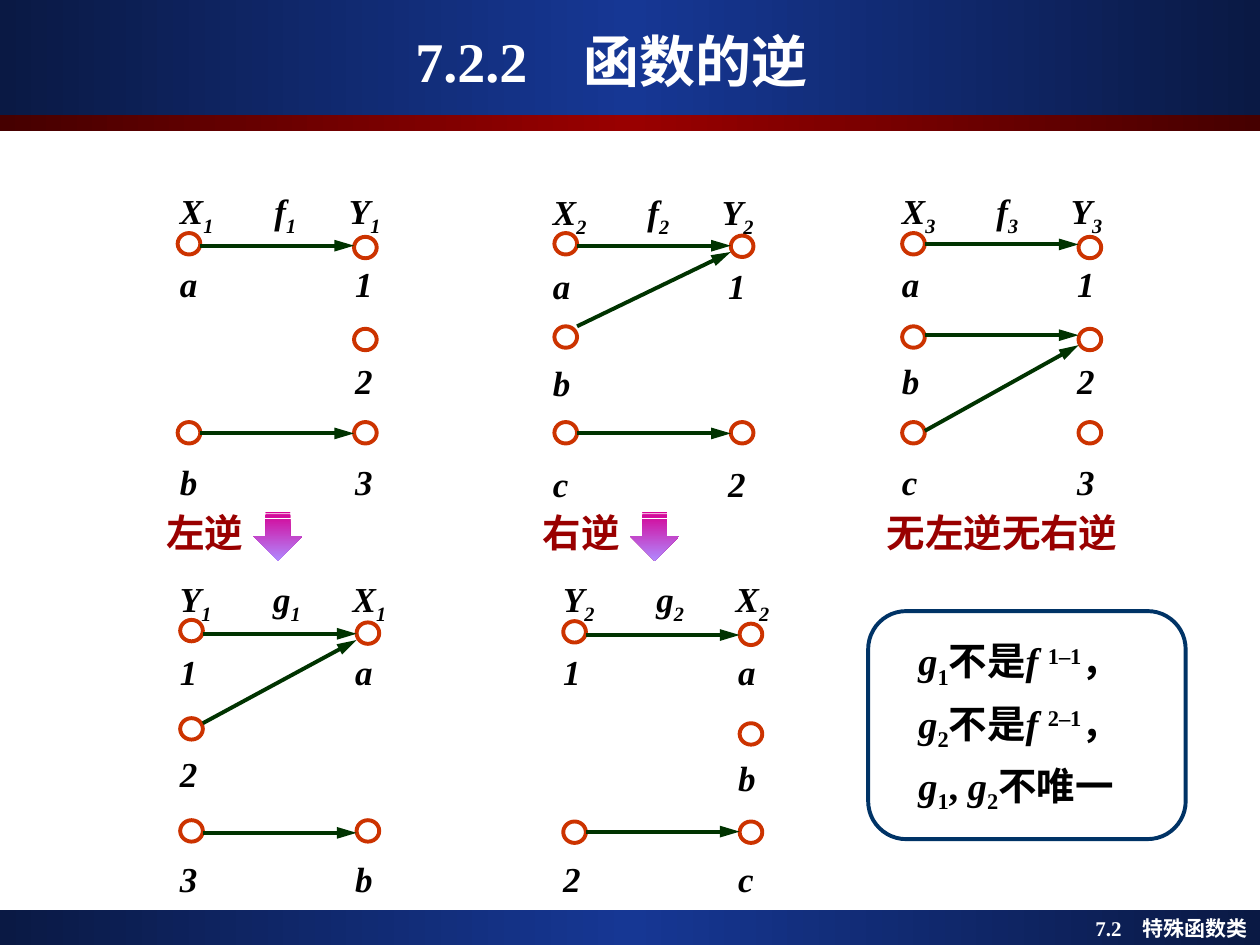
import pptx
import pptx.util
import pptx.dml.color
import pptx.enum.shapes
import pptx.enum.text
import pptx.oxml.ns
from lxml import etree

Inches = pptx.util.Inches
Pt = pptx.util.Pt
SHAPES = pptx.enum.shapes.MSO_SHAPE
ALIGN = pptx.enum.text.PP_ALIGN
qn = pptx.oxml.ns.qn

COLORS = {
    "navy": "0A1944", "blue": "163794", "maroon": "460000", "red": "990000",
    "white": "FFFFFF", "black": "000000", "node": "CC3300", "link": "003300",
    "frame": "003366", "magenta": "D60093", "lilac": "B089FF",
}
BLUE_BAR = ("navy", "blue", "navy")
RED_BAR = ("maroon", "red", "maroon")
SUB, SUPER = -25, 30
COLUMN_GAP, NODE_W, NODE_H = 1.4, 0.18, 0.17


def rgb(name):
    return pptx.dml.color.RGBColor.from_string(COLORS[name])


class Deck:
    font_name = "Times New Roman"
    line_width = Pt(2.25)

    def __init__(self, prs):
        self.slide = prs.slides.add_slide(prs.slide_layouts[5])

    def add_runs(self, paragraph, runs, size, color, italic=False):
        """Add runs given as (text, baseline percent, italic); plain strings take defaults."""
        for run_spec in runs:
            text, baseline, slant = (run_spec, 0, italic) if isinstance(run_spec, str) else run_spec
            run = paragraph.add_run()
            run.text = text
            formats = {"name": self.font_name, "size": Pt(size), "bold": True, "italic": slant}
            for attribute, value in formats.items():
                setattr(run.font, attribute, value)
            run.font.color.rgb = rgb(color)
            if baseline:
                run._r.get_or_add_rPr().set("baseline", str(baseline * 1000))

    def title(self, text, box):
        heading = self.slide.shapes.title
        heading.left, heading.top, heading.width, heading.height = map(Inches, box)
        frame = heading.text_frame
        frame.auto_size = pptx.enum.text.MSO_AUTO_SIZE.NONE
        frame.vertical_anchor = pptx.enum.text.MSO_ANCHOR.MIDDLE
        frame.paragraphs[0].alignment = ALIGN.CENTER
        self.add_runs(frame.paragraphs[0], [text], 32, "white")

    def text(self, lines, box, size, color, italic=False, align=ALIGN.LEFT,
             before=0, spacing=(), tabs=(), parent=None):
        """Add one paragraph per list of runs; spacing and tabs hold one entry per line."""
        holder = parent or self.slide
        frame = holder.shapes.add_textbox(*map(Inches, box)).text_frame
        frame.word_wrap = True
        for index, runs in enumerate(lines):
            paragraph = frame.add_paragraph() if index else frame.paragraphs[0]
            paragraph.alignment = align
            if index:
                paragraph.space_before = Pt(before)
            if spacing:
                paragraph.line_spacing = spacing[index]
            if tabs:
                stops = etree.SubElement(paragraph._p.get_or_add_pPr(), qn("a:tabLst"))
                for stop in tabs[index]:
                    etree.SubElement(stops, qn("a:tab"), pos=str(Inches(stop)), algn="l")
            self.add_runs(paragraph, runs, size, color, italic)

    def shape(self, kind, box, outline=None, gradient=(), parent=None):
        holder = parent or self.slide
        shape = holder.shapes.add_shape(kind, *map(Inches, box))
        shape.shadow.inherit = False
        if outline:
            shape.line.color.rgb = rgb(outline)
            shape.line.width = self.line_width
        else:
            shape.line.fill.background()
        if not gradient:
            shape.fill.background()
            return shape
        shape.fill.gradient()
        shape.fill.gradient_angle = 0
        stops = shape._element.spPr.find(".//" + qn("a:gsLst"))
        for stop in list(stops):
            stops.remove(stop)
        for index, color in enumerate(gradient):
            position = 100000 * index // (len(gradient) - 1)
            stop = etree.SubElement(stops, qn("a:gs"), pos=str(position))
            etree.SubElement(stop, qn("a:srgbClr"), val=COLORS[color])
        return shape

    def bar(self, box, gradient):
        """Add a full-width band behind the placeholders."""
        band = self.shape(SHAPES.RECTANGLE, box, gradient=gradient)
        self.slide.shapes._spTree.insert(2, band._element)

    def down_arrow(self, left, top, side):
        arrow = self.shape(SHAPES.STRIPED_RIGHT_ARROW, (left, top, side, side),
                           gradient=("magenta", "lilac"))
        arrow.rotation = 90

    def link(self, start, end, parent):
        connector = parent.shapes.add_connector(
            pptx.enum.shapes.MSO_CONNECTOR.STRAIGHT, *map(Inches, start + end))
        connector.line.color.rgb = rgb("link")
        connector.line.width = self.line_width
        outline = connector._element.spPr.find(qn("a:ln"))
        etree.SubElement(outline, qn("a:tailEnd"), type="triangle", w="med", len="lg")
        etree.SubElement(connector._element.spPr, qn("a:effectLst"))

    def mapping(self, left, top, column, header, labels, spacing, nodes, links):
        """Draw a function diagram; column, node and link offsets count from its corner."""
        group = self.slide.shapes.add_group_shape()
        (domain, function, codomain), number = header
        index = (number, SUB, True)
        lines = [[domain, index, "\t" + function, index, "\t" + codomain, index]]
        lines += [[label] for label in labels]
        header_tabs = (0.75, 1.34) if function == "f" else (0.74, 1.37)
        self.text(lines, (left, top, 2.05, 2.6), 20, "black", italic=True, before=5,
                  spacing=spacing, tabs=[header_tabs] + [(1.39,)] * 3, parent=group)
        left_x = left + column
        right_x = left_x + COLUMN_GAP
        for x, offsets in zip((left_x, right_x), nodes):
            for y in offsets:
                self.shape(SHAPES.OVAL, (x, top + y, NODE_W, NODE_H), "node", parent=group)
        for start_y, end_y in links:
            self.link((left_x + NODE_W, top + start_y), (right_x, top + end_y), group)


def main():
    prs = pptx.Presentation()
    prs.slide_width, prs.slide_height = Inches(10), Inches(7.5)
    deck = Deck(prs)

    deck.bar((0, 7.22, 10, 0.28), BLUE_BAR)
    deck.bar((0, 0, 10, 0.91), BLUE_BAR)
    deck.bar((0, 0.91, 10, 0.13), RED_BAR)
    deck.title("7.2.2　函数的逆", (0.23, 0.17, 9.25, 0.62))
    deck.text([["7.2　特殊函数类"]], (7.52, 7.22, 2.48, 0.3), 12, "white", align=ALIGN.RIGHT)

    top_spacing = (1.2, 1.4, 2.1, 2.2)
    mappings = [
        (1.33, 1.38, 0.08, ("XfY", "1"), ("a\t1", "\t2", "b\t3"), top_spacing,
         ((0.47, 1.97), (0.5, 1.23, 1.97)), ((0.57, 0.57), (2.06, 2.06))),
        (1.33, 4.46, 0.1, ("YgX", "1"), ("1\ta", "2", "3\tb"), (1.2, 1.4, 2.2, 2.3),
         ((0.46, 1.24, 2.05), (0.48, 2.05)), ((0.57, 0.57), (2.15, 2.15), (1.28, 0.62))),
        (4.29, 1.39, 0.11, ("XfY", "2"), ("a\t1", "b", "c\t2"), top_spacing,
         ((0.46, 1.2, 1.96), (0.48, 1.96)), ((0.56, 0.56), (2.05, 2.05), (1.2, 0.61))),
        (7.06, 1.38, 0.1, ("XfY", "3"), ("a\t1", "b\t2", "c\t3"), top_spacing,
         ((0.47, 1.21, 1.97), (0.5, 1.23, 1.97)), ((0.56, 0.56), (1.28, 1.28), (2.04, 1.36))),
        (4.37, 4.46, 0.1, ("YgX", "2"), ("1\ta", "\tb", "2\tc"), (1.2, 1.4, 2.3, 2.2),
         ((0.47, 2.06), (0.49, 1.28, 2.06)), ((0.58, 0.58), (2.14, 2.14))),
    ]
    for mapping in mappings:
        deck.mapping(*mapping)

    for verdict, left, width in (("左逆", 1.22, 0.87), ("右逆", 4.21, 0.94),
                                 ("无左逆无右逆", 6.94, 2.23)):
        deck.text([[verdict]], (left, 3.99, width, 0.37), 22, "red")
    for left in (2.01, 5):
        deck.down_arrow(left, 4.06, 0.39)

    g = ("g", 0, True)
    remarks = [[g, (n, SUB, False), "不是", ("f ", 0, True), (n + "–1", SUPER, False), "，"]
               for n in "12"]
    remarks.append([g, ("1", SUB, False), ", ", g, ("2", SUB, False), "不唯一"])
    deck.text(remarks, (7.19, 5.01, 2.18, 1.65), 22, "black", before=5.5)
    deck.shape(SHAPES.FLOWCHART_ALTERNATE_PROCESS, (6.89, 4.85, 2.52, 1.81), "frame")

    prs.save("out.pptx")


if __name__ == "__main__":
    main()
